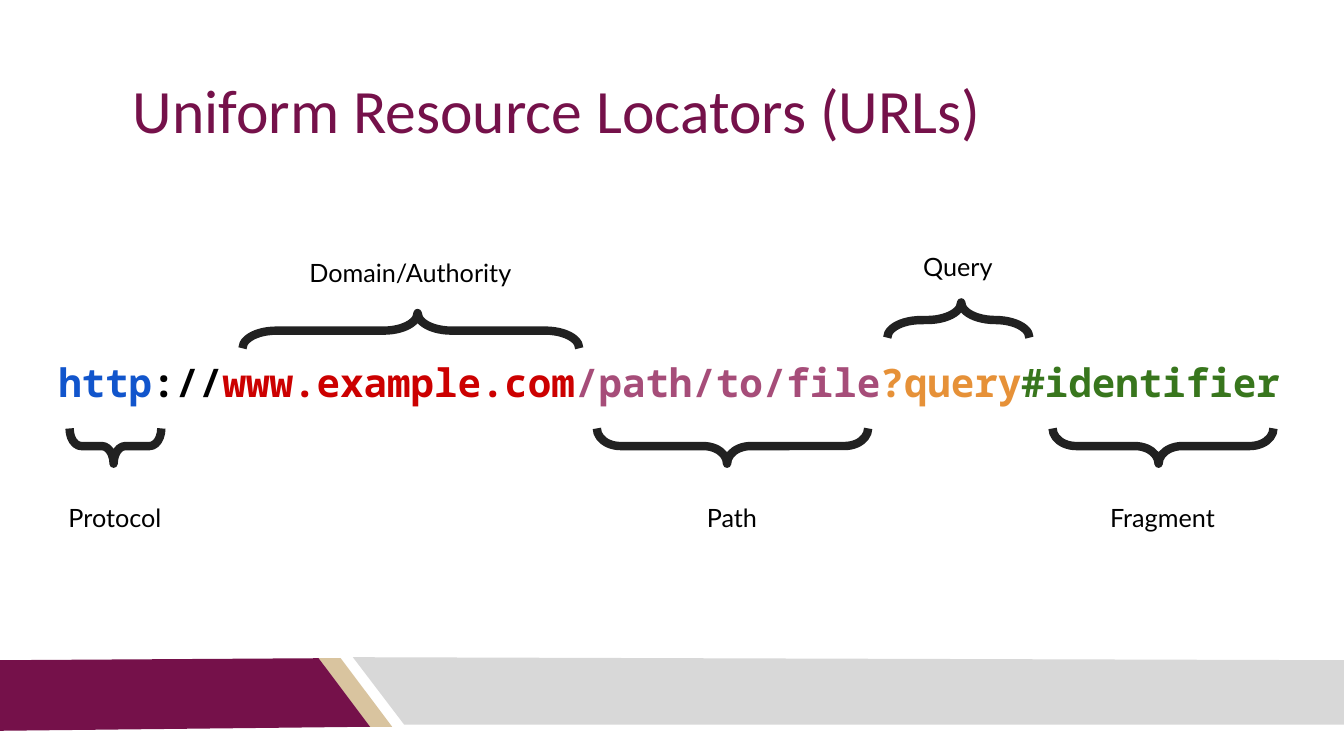
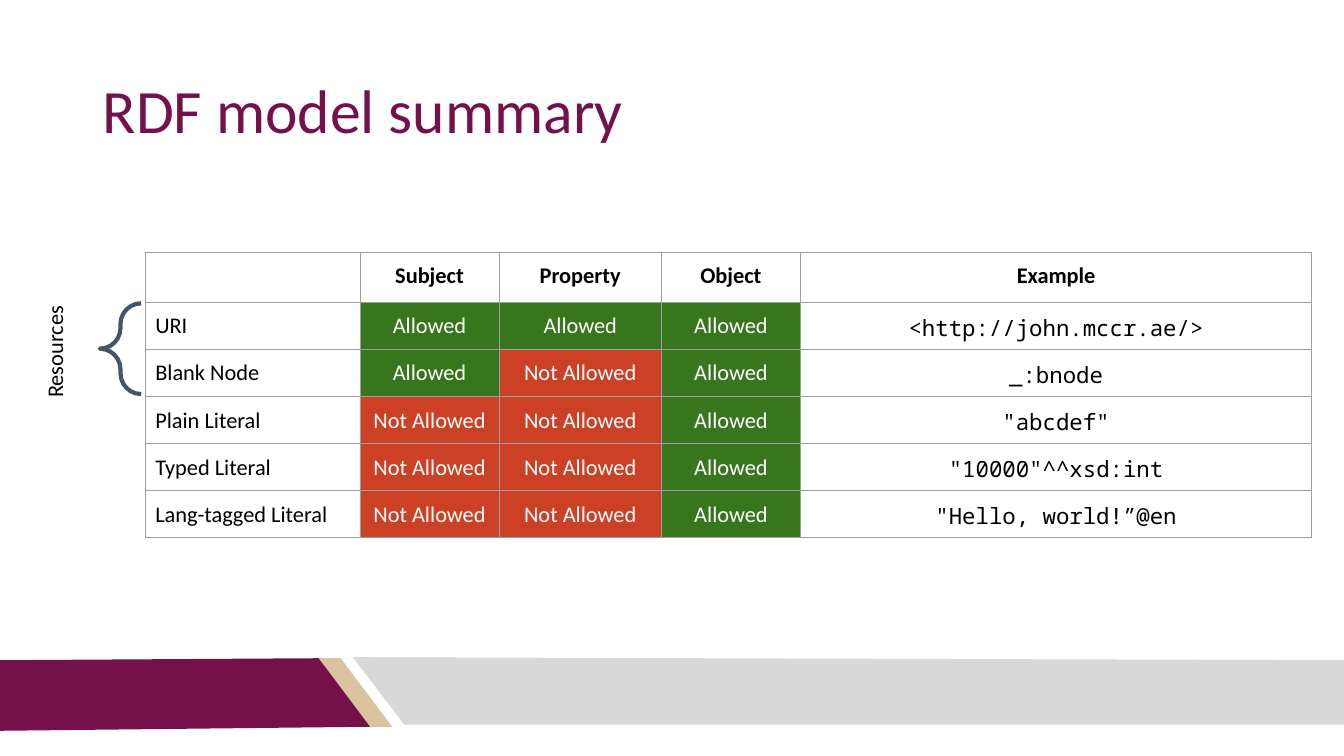
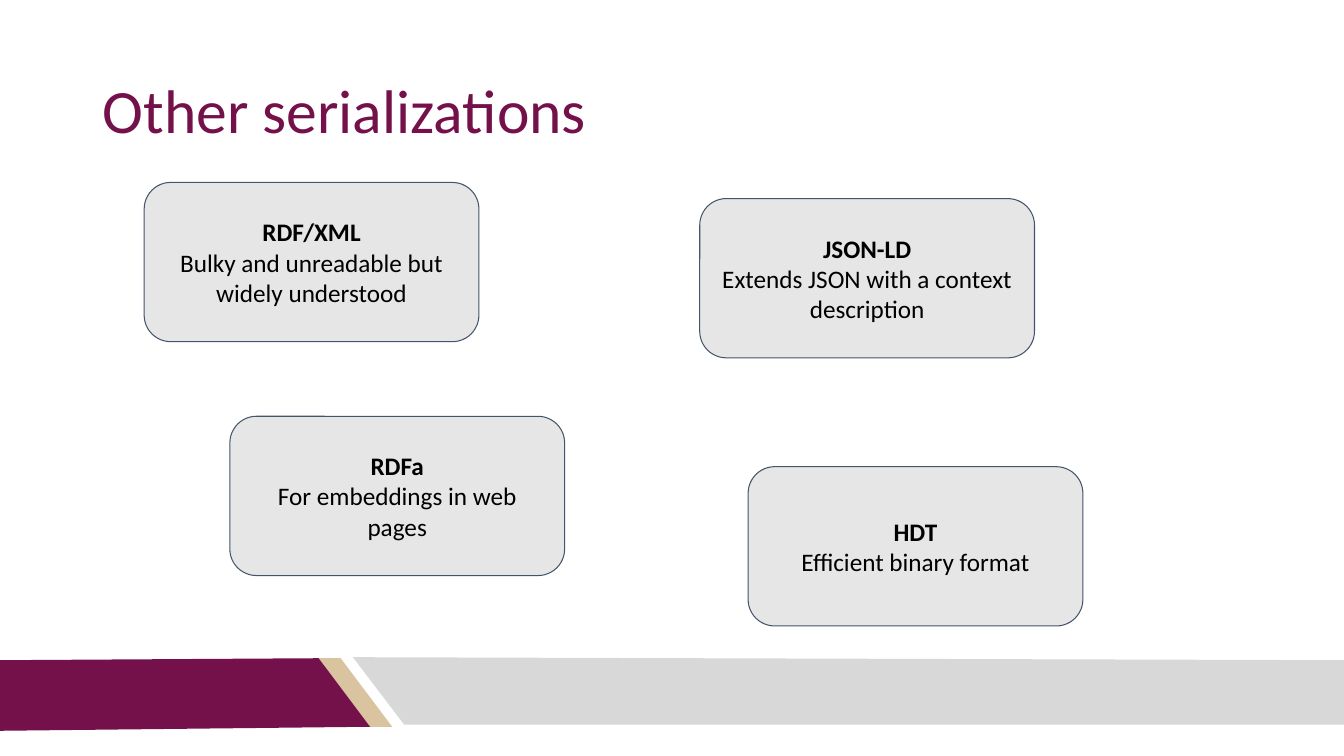
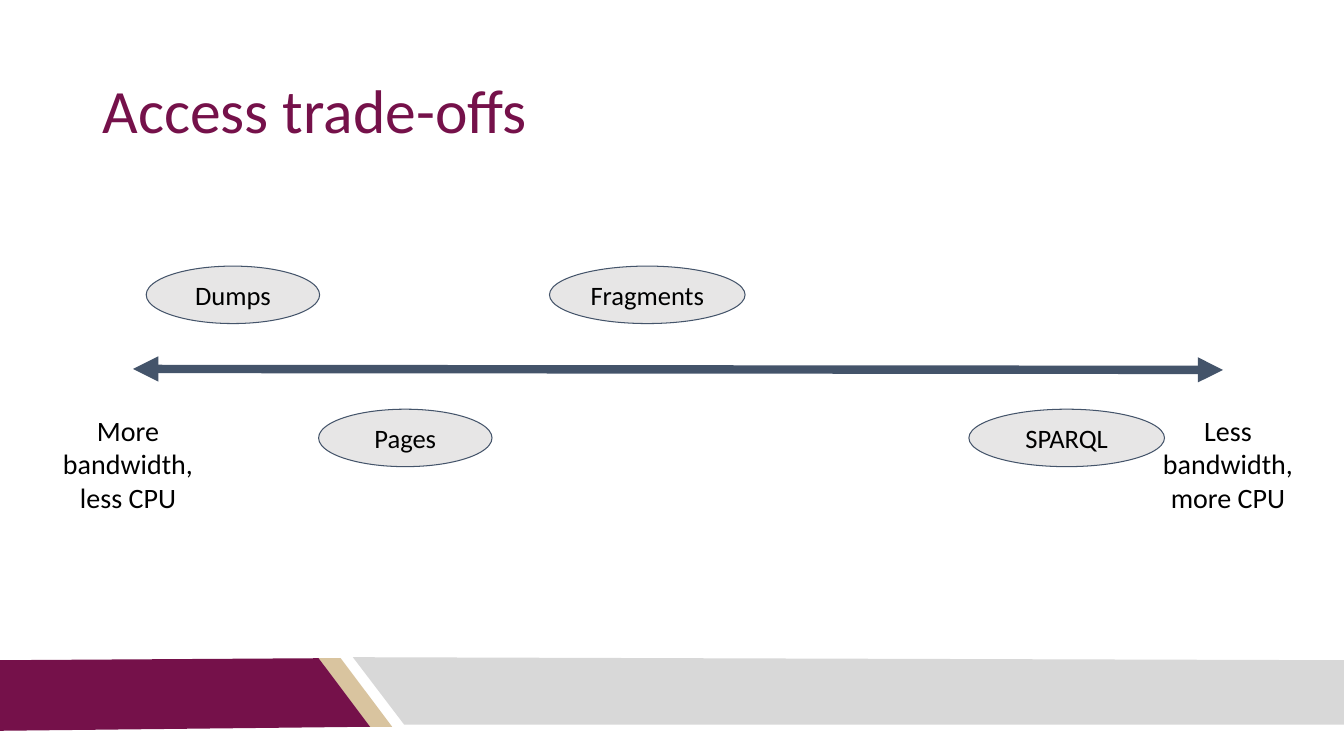
from lxml.etree import SubElement
from pptx import Presentation
from pptx.dml.color import RGBColor
from pptx.enum.shapes import MSO_CONNECTOR as LINE, MSO_SHAPE as SHAPE
from pptx.enum.text import MSO_ANCHOR as ANCHOR, PP_ALIGN as ALIGN
from pptx.oxml.ns import qn
from pptx.util import Pt

PX = 9144
MAROON, TAN, SILVER = "75114A", "D9C49F", "D8D8D8"
SLATE, PALE, INK, GRID = "44546A", "E7E6E6", "212121", "9E9E9E"
BLACK, WHITE, GREEN, RED = "000000", "FFFFFF", "38761D", "CC4125"
BODY, LABEL, MONO = "Calibri", "Lato", "Noto Sans Mono"
BANDS = [
    (TAN, [(316, 653), (338, 653), (389, 721), (367, 721)]),
    (MAROON, [(-1, 655), (316, 653), (367, 721), (-1, 725)]),
    (SILVER, [(1337, 719), (401, 719), (350, 652), (1334, 655)]),
]


def rgb(color):
    return RGBColor.from_string(color)


def px(*lengths):
    return [n * PX for n in lengths]


def put(holder, paras, size=18, font=BODY, color=BLACK, bold=False,
        align=ALIGN.CENTER, anchor=ANCHOR.TOP, spacing=None):
    for side in ("left", "right", "top", "bottom"):
        setattr(holder, f"margin_{side}", 10 * PX)
    holder.vertical_anchor = anchor
    tf = getattr(holder, "text_frame", holder)
    tf.word_wrap = True
    for i, runs in enumerate(paras):
        p = tf.add_paragraph() if i else tf.paragraphs[0]
        p.alignment = align
        p.line_spacing = spacing
        for text, changes in [(runs, {})] if isinstance(runs, str) else runs:
            r = p.add_run()
            r.text = text
            r.font.size = Pt(size)
            r.font.name = font
            r.font.bold = changes.get("bold", bold)
            r.font.color.rgb = rgb(changes.get("color", color))


class Deck:
    """Holds the shared style and the slide being built."""

    def __init__(self):
        self.prs = Presentation()
        self.prs.slide_width, self.prs.slide_height = px(1333, 750)

    def slide(self, title, x=92):
        self.s = self.prs.slides.add_slide(self.prs.slide_layouts[6])
        for color, points in BANDS:
            outline = self.s.shapes.build_freeform(*points[0], scale=PX)
            outline.add_line_segments(points[1:])
            self.paint(outline.convert_to_shape(), color)
        self.text(x, 40, 1150, 145, [title], size=44, color=MAROON,
                  align=ALIGN.LEFT, anchor=ANCHOR.MIDDLE, spacing=0.9)

    def paint(self, sp, fill=None, line=None, width=0.75):
        sp.shadow.inherit = False
        if fill:
            sp.fill.solid()
            sp.fill.fore_color.rgb = rgb(fill)
        else:
            sp.fill.background()
        if line:
            sp.line.color.rgb = rgb(line)
            sp.line.width = Pt(width)
        else:
            sp.line.fill.background()

    def text(self, x, y, w, h, paras, rotation=0, **style):
        sp = self.s.shapes.add_textbox(*px(x, y, w, h))
        sp.rotation = rotation
        put(sp.text_frame, paras, **style)

    def node(self, kind, x, y, w, h, paras, **style):
        sp = self.s.shapes.add_shape(kind, *px(x, y, w, h))
        self.paint(sp, PALE, SLATE)
        put(sp.text_frame, paras, anchor=ANCHOR.MIDDLE, **style)

    def brace(self, x, y, w, h, bend, tip, color, width, rotation=0):
        sp = self.s.shapes.add_shape(SHAPE.LEFT_BRACE, *px(x, y, w, h))
        sp.rotation = rotation
        sp.adjustments[0], sp.adjustments[1] = bend, tip
        self.paint(sp, line=color, width=width)
        SubElement(sp.line._get_or_add_ln(), qn("a:round"))

    def arrow(self, x1, y1, x2, y2):
        line = self.s.shapes.add_connector(LINE.STRAIGHT, *px(x1, y1, x2, y2))
        line.line.color.rgb = rgb(SLATE)
        line.line.width = Pt(6)
        for end in ("a:headEnd", "a:tailEnd"):
            SubElement(line.line._get_or_add_ln(), qn(end), type="triangle")
        SubElement(line._element.spPr, qn("a:effectLst"))

    def table(self, x, y, widths, row_height, rows):
        shape = self.s.shapes.add_table(
            len(rows), len(widths),
            *px(x, y, sum(widths), row_height * len(rows)))
        table = shape.table
        table.first_row = table.horz_banding = False
        for column, width in zip(table.columns, widths):
            column.width = width * PX
        for i, row in enumerate(rows):
            for j, (text, fill, style) in enumerate(row):
                self.cell(table.cell(i, j), text, fill, style)

    def cell(self, cell, text, fill, style):
        tc_pr = cell._tc.get_or_add_tcPr()
        for side in "LRTB":
            ln = SubElement(tc_pr, qn(f"a:ln{side}"), w=str(Pt(0.75)))
            solid = SubElement(ln, qn("a:solidFill"))
            SubElement(solid, qn("a:srgbClr"), val=GRID)
        if fill:
            cell.fill.solid()
            cell.fill.fore_color.rgb = rgb(fill)
        else:
            cell.fill.background()
        put(cell, [text], size=16, **style)


def url_slide(deck):
    deck.slide("Uniform Resource Locators (URLs)", x=122)
    parts = [("http", "1155CC"), ("://", BLACK), ("www.example.com", "CC0000"),
             ("/path/to/file", "A64D79"), ("?query", "E69138"),
             ("#identifier", GREEN)]
    deck.text(48, 345, 1257, 71, [[(t, {"color": c}) for t, c in parts]],
              size=28, font=MONO, bold=True, align=ALIGN.LEFT)
    for name, cx, cy, span, bend, rotation, top, width in [
        ("Protocol", 114, 442, 91, 0.33, 270, 488, 170),
        ("Domain/Authority", 407, 328, 334, 0.96, 90, 245, 340),
        ("Path", 726, 442, 269, 0.67, 270, 488, 170),
        ("Query", 950, 317, 141, 1.01, 90, 239, 170),
        ("Fragment", 1153, 442, 219, 0.67, 270, 488, 170),
    ]:
        deck.brace(cx - 17, cy - span // 2, 35, span, bend, 0.48, INK, 6,
                   rotation)
        deck.text(cx - width // 2, top, width, 35, [name], font=LABEL)


def rdf_slide(deck):
    deck.slide("RDF model summary")
    heads = ["", "Subject", "Property", "Object", "Example"]
    rows = [[(head, None, {"bold": True}) for head in heads]]
    marks = {"Y": ("Allowed", GREEN, {"color": WHITE}),
             "N": ("Not Allowed", RED, {"color": WHITE})}
    for name, allowed, example in [
        ("URI", "YYY", "<http://john.mccr.ae/>"),
        ("Blank Node", "YNY", "_:bnode"),
        ("Plain Literal", "NNY", '"abcdef"'),
        ("Typed Literal", "NNY", '"10000"^^xsd:int'),
        ("Lang-tagged Literal", "NNY", '"Hello, world!”@en'),
    ]:
        rows.append([(name, None, {"align": ALIGN.LEFT}),
                     *[marks[mark] for mark in allowed],
                     (example, None, {"font": MONO})])
    deck.table(144, 250, [213, 138, 161, 138, 507], 42, rows)
    deck.brace(99, 301, 41, 90, 0.5, 0.5, SLATE, 3)
    deck.text(-4, 323, 116, 47, ["Resources"], rotation=270, size=16,
              align=ALIGN.LEFT)


def formats_slide(deck):
    deck.slide("Other serializations")
    for x, y, name, note in [
        (143, 181, "RDF/XML", "Bulky and unreadable but widely understood"),
        (694, 197, "JSON-LD", "Extends JSON with a context description"),
        (228, 413, "RDFa", "For embeddings in web pages"),
        (742, 463, "HDT", "Efficient binary format"),
    ]:
        deck.node(SHAPE.ROUNDED_RECTANGLE, x, y, 332, 158,
                  [[(name, {"bold": True})], note])


def access_slide(deck):
    deck.slide("Access trade-offs")
    deck.arrow(132, 366, 1213, 367)
    for x, paras in [(34, ["More bandwidth,", "less CPU"]),
                     (1125, ["Less bandwidth,", "more CPU"])]:
        deck.text(x, 400, 186, 121, paras, size=20)
    for x, y, w, name in [(145, 264, 172, "Dumps"), (316, 406, 172, "Pages"),
                          (545, 264, 194, "Fragments"),
                          (961, 406, 194, "SPARQL")]:
        deck.node(SHAPE.OVAL, x, y, w, 57, [name], size=19)


def main():
    deck = Deck()
    for build in (url_slide, rdf_slide, formats_slide, access_slide):
        build(deck)
    deck.prs.save("out.pptx")


if __name__ == "__main__":
    main()
